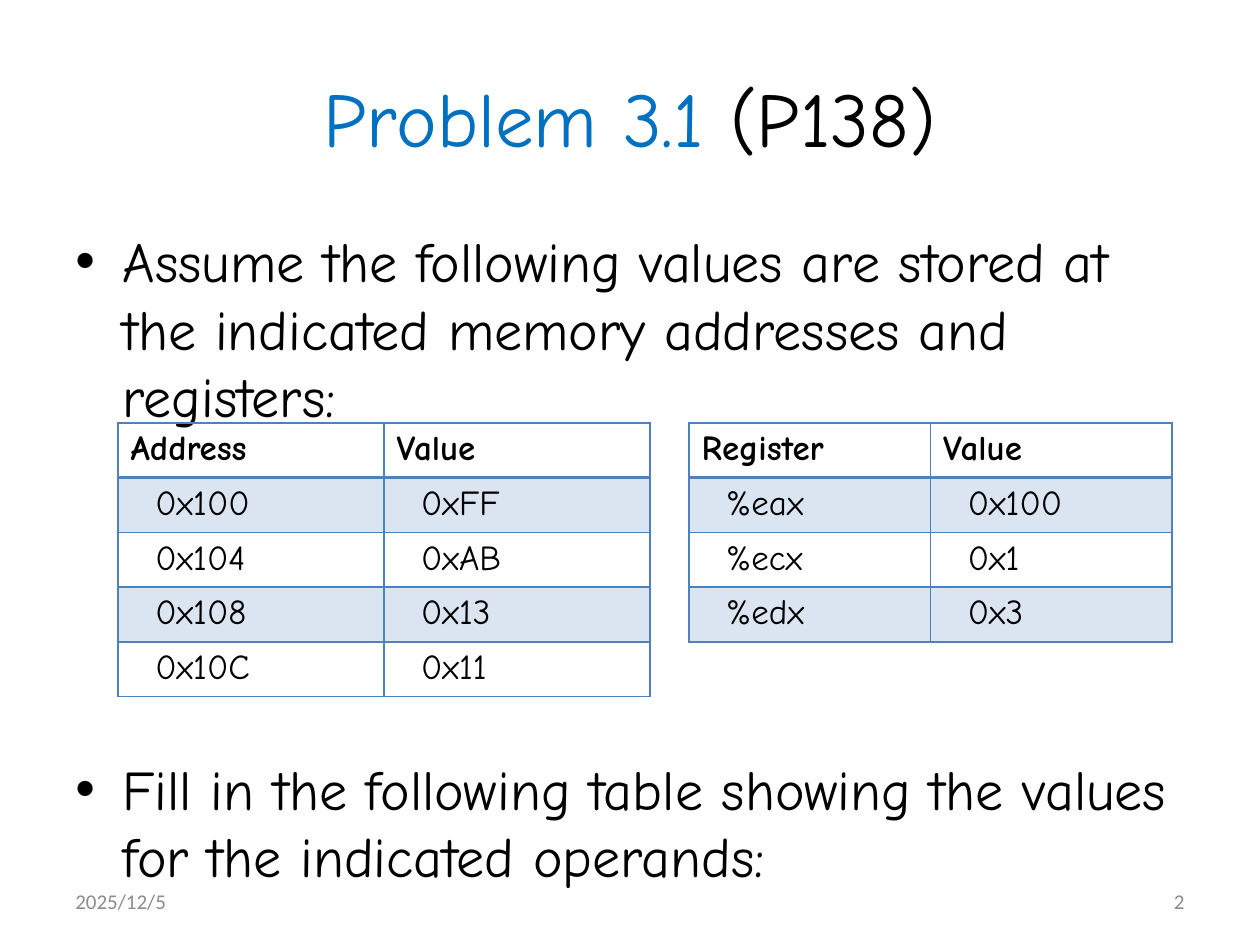
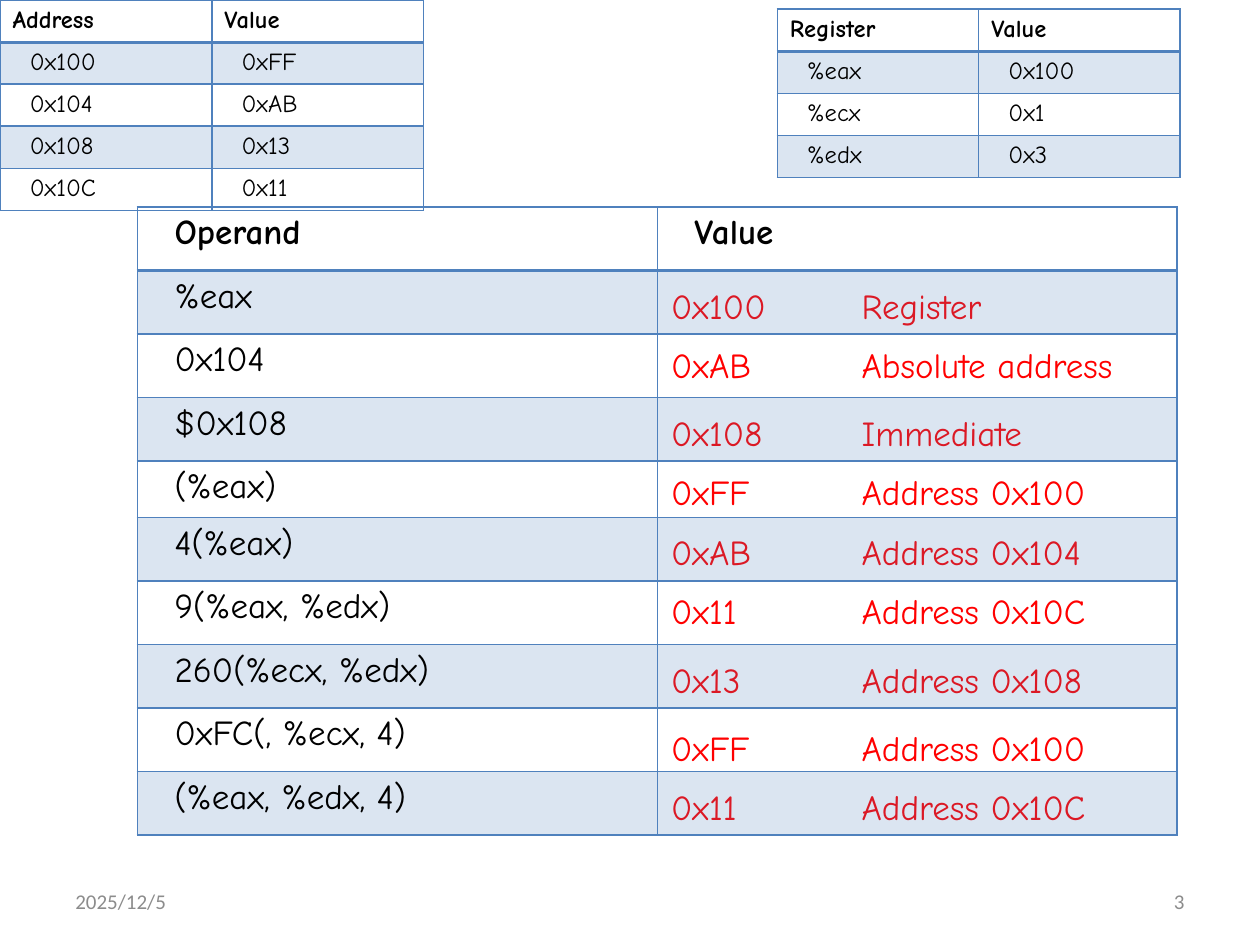
from lxml import etree
from pptx import Presentation, util as u
from pptx.dml.color import RGBColor
from pptx.enum import shapes, text
from pptx.oxml import ns

HUES = {"ink": "000000", "blue": "0070C0", "red": "FF0000",
        "gray": "8C8C8C", "grid": "4F81BD", "white": "FFFFFF"}
HAND, PLAIN = "Comic Neue", "Calibri"
LEFT, RIGHT, MID = text.PP_ALIGN.LEFT, text.PP_ALIGN.RIGHT, text.PP_ALIGN.CENTER

MEMORY = [("Address", "Value"), ("0x100", "0xFF"), ("0x104", "0xAB"),
          ("0x108", "0x13"), ("0x10C", "0x11")]
REGS = [("Register", "Value"), ("%eax", "0x100"), ("%ecx", "0x1"), ("%edx", "0x3")]
OPS = ["Operand", "%eax", "0x104", "$0x108", "(%eax)", "4(%eax)", "9(%eax, %edx)",
       "260(%ecx, %edx)", "0xFC(, %ecx, 4)", "(%eax, %edx, 4)"]
ANSWERS = [(5.56, "0x100", "Register"), (6.76, "0xAB", "Absolute address"),
           (8.13, "0x108", "Immediate"), (9.32, "0xFF", "Address 0x100"),
           (10.52, "0xAB", "Address 0x104"), (11.71, "0x11", "Address 0x10C"),
           (13.11, "0x13", "Address 0x108"), (14.48, "0xFF", "Address 0x100"),
           (15.67, "0x11", "Address 0x10C")]


def color(name):
    return RGBColor.from_string(HUES[name])


def apply(item, **vals):
    for key, val in vals.items():
        setattr(item, key, val)


def node(root, tag, **attrs):
    return etree.SubElement(root, ns.qn(tag), attrs)


class Deck:
    def __init__(self):
        self.prs = Presentation()
        apply(self.prs, slide_width=u.Cm(25.4), slide_height=u.Cm(19.05))
        self.slide = None

    def page(self):
        self.slide = self.prs.slides.add_slide(self.prs.slide_layouts[6])

    def label(self, para, words, size=20, hue="ink", font=HAND, bold=False):
        run = para.add_run()
        run.text = words
        apply(run.font, size=u.Pt(size), name=font, bold=bold)
        run.font.color.rgb = color(hue)

    def frame(self, x, y, w, h, anchor=text.MSO_ANCHOR.MIDDLE):
        box = self.slide.shapes.add_textbox(*map(u.Cm, (x, y, w, h)))
        apply(box.text_frame, word_wrap=True, vertical_anchor=anchor)
        return box.text_frame

    def title(self, *parts):
        para = self.frame(1.27, 0.76, 22.86, 3.18).paragraphs[0]
        para.alignment = MID
        for words, hue in parts:
            self.label(para, words, 44, hue)

    def bullets(self, *items):
        body = self.frame(1.27, 4.45, 22.86, 13.03, text.MSO_ANCHOR.TOP)
        for i, (words, gap) in enumerate(items):
            para = body.add_paragraph() if i else body.paragraphs[0]
            para.space_before = u.Pt(gap)
            props = para._p.get_or_add_pPr()
            inset = u.Cm(0.95)
            props.set("marL", str(inset))
            props.set("indent", str(-inset))
            node(props, "a:buFont", typeface="Arial")
            node(props, "a:buChar", char="•")
            self.label(para, words, 32)

    def footer(self, num):
        for x, words, side in ((18.21, num, RIGHT), (1.27, "2025/12/5", LEFT)):
            para = self.frame(x, 17.65, 5.92, 1.02).paragraphs[0]
            para.alignment = side
            self.label(para, words, 12, "gray", PLAIN)

    def answer(self, y, value, kind):
        box = self.slide.shapes.add_shape(
            shapes.MSO_SHAPE.RECTANGLE, *map(u.Cm, (13.28, y, 10.31, 1.19)))
        box.shadow.inherit = False
        box.fill.solid()
        box.fill.fore_color.rgb = color("white")
        box.line.color.rgb = color("white")
        box.line.width = u.Pt(2)
        apply(box.text_frame, word_wrap=True, vertical_anchor=text.MSO_ANCHOR.MIDDLE)
        para = box.text_frame.paragraphs[0]
        para.alignment = LEFT
        tabs = node(para._p.get_or_add_pPr(), "a:tabLst")
        node(tabs, "a:tab", pos=str(u.Cm(3.84)), algn="l")
        self.label(para, f"{value}\t{kind}", hue="red")

    def edges(self, props, row):
        thick = {"a:lnB": row == 0, "a:lnT": row == 1}
        for tag in ("a:lnL", "a:lnR", "a:lnT", "a:lnB"):
            line = node(props, tag, w=str(u.Pt(2 if thick.get(tag) else 1)))
            node(node(line, "a:solidFill"), "a:srgbClr", val=HUES["grid"])

    def shade(self, cell, band):
        if not band:
            cell.fill.background()
            return
        cell.fill.solid()
        cell.fill.fore_color.rgb = color("grid")
        tint = cell._tc.tcPr.find(ns.qn("a:solidFill"))[0]
        node(tint, "a:alpha", val="20000")

    def table(self, x, y, wide, tall, rows, size=20, inset=False):
        cols = len(rows[0])
        grid = self.slide.shapes.add_table(
            len(rows), cols, *map(u.Cm, (x, y, wide * cols, tall * len(rows)))).table
        apply(grid, first_row=False, horz_banding=False)
        for col in grid.columns:
            col.width = u.Cm(wide)
        for r, row in enumerate(rows):
            grid.rows[r].height = u.Cm(tall)
            for c, words in enumerate(row):
                cell = grid.cell(r, c)
                self.edges(cell._tc.get_or_add_tcPr(), r)
                self.shade(cell, r % 2)
                if r or inset:
                    cell.margin_left = u.Cm(0.25 + 0.025 * size)
                if words:
                    self.label(cell.text_frame.paragraphs[0], words, size, bold=r == 0)
        return grid


def main():
    deck = Deck()

    deck.page()
    deck.title(("Problem 3.1 ", "blue"), ("(P138)", "ink"))
    deck.bullets(
        ("Assume the following values are stored at the indicated memory "
         "addresses and registers:", 6.4),
        ("Fill in the following table showing the values for the indicated "
         "operands:", 186))
    deck.footer("2")
    deck.table(2.38, 8.53, 5.36, 1.07, MEMORY)
    deck.table(13.89, 8.53, 4.87, 1.07, REGS)

    deck.page()
    for item in ANSWERS:
        deck.answer(*item)
    rows = [(op, "" if i else "Value") for i, op in enumerate(OPS)]
    grid = deck.table(2.77, 4.17, 10.48, 1.28, rows, inset=True)
    grid.rows[OPS.index("(%eax)")].height = u.Cm(1.14)
    deck.footer("3")
    deck.table(0, 0, 4.27, 0.82, MEMORY, 14)
    deck.table(15.67, 0.18, 4.06, 0.85, REGS, 14)

    deck.prs.save("out.pptx")


if __name__ == "__main__":
    main()
